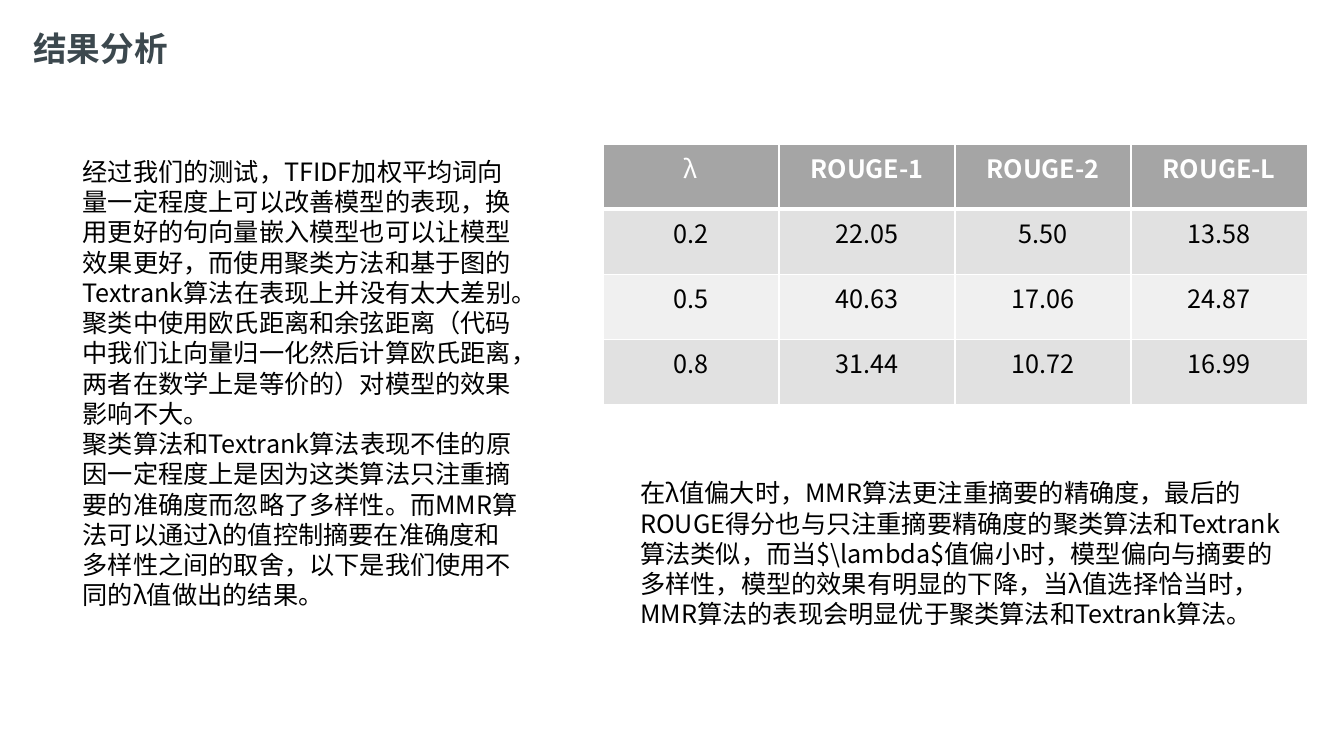
from lxml import etree
from pptx import Presentation
from pptx.dml.color import RGBColor
from pptx.enum.text import MSO_ANCHOR as Anchor, MSO_AUTO_SIZE as AutoSize, PP_ALIGN as Align
from pptx.oxml.ns import qn
from pptx.util import Inches, Pt

ANALYSIS = (
    "经过我们的测试，TFIDF加权平均词向量一定程度上可以改善模型的表现，换用更好的句向量嵌入模型"
    "也可以让模型效果更好，而使用聚类方法和基于图的Textrank算法在表现上并没有太大差别。"
    "聚类中使用欧氏距离和余弦距离（代码中我们让向量归一化然后计算欧氏距离，"
    "两者在数学上是等价的）对模型的效果影响不大。",
    "聚类算法和Textrank算法表现不佳的原因一定程度上是因为这类算法只注重摘要的准确度而忽略了多样性。"
    "而MMR算法可以通过λ的值控制摘要在准确度和多样性之间的取舍，"
    "以下是我们使用不同的λ值做出的结果。",
)
CONCLUSION = (
    "在λ值偏大时，MMR算法更注重摘要的精确度，最后的ROUGE得分也与只注重摘要精确度的聚类算法"
    "和Textrank算法类似，而当$\\lambda$值偏小时，模型偏向与摘要的多样性，"
    "模型的效果有明显的下降，当λ值选择恰当时，MMR算法的表现会明显优于聚类算法和Textrank算法。",
)
SCORES = (
    ("λ", "ROUGE-1", "ROUGE-2", "ROUGE-L"),
    ("0.2", "22.05", "5.50", "13.58"),
    ("0.5", "40.63", "17.06", "24.87"),
    ("0.8", "31.44", "10.72", "16.99"),
)


def color(value):
    """Turn a hex string into a colour."""
    return RGBColor.from_string(value)


def write(frame, *texts, font="Noto Sans CJK SC", size=18, ink="000000",
          bold=False, align=Align.LEFT, leading=1.0):
    """Write one formatted paragraph for each text into a text frame."""
    for index, text in enumerate(texts):
        paragraph = frame.add_paragraph() if index else frame.paragraphs[0]
        paragraph.alignment = align
        paragraph.line_spacing = leading
        paragraph.space_before = paragraph.space_after = Pt(0)
        run = paragraph.add_run()
        run.text = text
        run.font.name, run.font.size, run.font.bold = font, Pt(size), bold
        run.font.color.rgb = color(ink)
        east_asian = etree.SubElement(run.font._element, qn("a:ea"))
        east_asian.set("typeface", "Noto Sans CJK SC")


def remove_bullets(frame):
    """Make the paragraphs of a list placeholder plain and flush left."""
    for paragraph in frame.paragraphs:
        properties = paragraph._p.get_or_add_pPr()
        properties.set("marL", "0")
        properties.set("indent", "0")
        etree.SubElement(properties, qn("a:buNone"))


def draw_border(cell, side, width, ink="FFFFFF"):
    """Draw one border of a cell, ahead of its fill."""
    properties = cell._tc.get_or_add_tcPr()
    line = etree.Element(qn(f"a:ln{side}"), w=str(Pt(width)))
    fill = etree.SubElement(line, qn("a:solidFill"))
    etree.SubElement(fill, qn("a:srgbClr"), val=ink)
    properties.insert("LRTB".index(side), line)


class Deck:
    """Holds the style and the current slide; lengths are percent of the slide."""

    header_fill = "A5A5A5"
    band_fills = ("E1E1E1", "F0F0F0")
    title_style = {"font": "TeX Gyre Schola", "size": 24, "ink": "3C484E", "bold": True}

    def __init__(self, layout):
        """Open a wide presentation with one slide."""
        self.presentation = Presentation()
        self.presentation.slide_width = Inches(13.33)
        self.presentation.slide_height = Inches(7.5)
        self.slide = self.presentation.slides.add_slide(
            self.presentation.slide_layouts[layout])

    def box(self, left, top, width, height):
        """Convert percentages to slide lengths."""
        across, down = self.presentation.slide_width, self.presentation.slide_height
        return [int(share * side / 100) for share, side in
                zip((left, top, width, height), (across, down, across, down))]

    def place(self, shape, area):
        """Move a placeholder and return its text frame."""
        shape.left, shape.top, shape.width, shape.height = self.box(*area)
        frame = shape.text_frame
        frame.word_wrap = True
        frame.auto_size = AutoSize.NONE
        frame.vertical_anchor = Anchor.TOP
        return frame

    def title(self, text, area):
        """Fill the title placeholder."""
        write(self.place(self.slide.shapes.title, area), text, **self.title_style)

    def body(self, index, texts, area):
        """Fill a body placeholder with plain paragraphs."""
        frame = self.place(self.slide.placeholders[index], area)
        write(frame, *texts)
        remove_bullets(frame)

    def table(self, rows, area):
        """Add a table with a header row and banded rows."""
        table = self.slide.shapes.add_table(len(rows), len(rows[0]), *self.box(*area)).table
        for i, row in enumerate(rows):
            for j, text in enumerate(row):
                self.cell(table.cell(i, j), text, i, bold=i == 0 and j > 0)

    def cell(self, cell, text, row, bold):
        """Fill, border and write one table cell."""
        header = row == 0
        cell.fill.solid()
        cell.fill.fore_color.rgb = color(
            self.header_fill if header else self.band_fills[(row - 1) % 2])
        for side in "LRTB":
            thick = (header and side == "B") or (row == 1 and side == "T")
            draw_border(cell, side, 3 if thick else 1)
        write(cell.text_frame, text, ink="FFFFFF" if header else "000000",
              bold=bold, align=Align.CENTER)


deck = Deck(layout=3)
deck.title("结果分析", (1.73, 3.07, 65.87, 6.67))
deck.body(1, ANALYSIS, (5.4, 20, 34.36, 61.87))
deck.table(SCORES, (44.86, 19.07, 52.4, 34.4))
deck.body(2, CONCLUSION, (46.89, 62.53, 50.04, 21.6))
deck.presentation.save("out.pptx")
